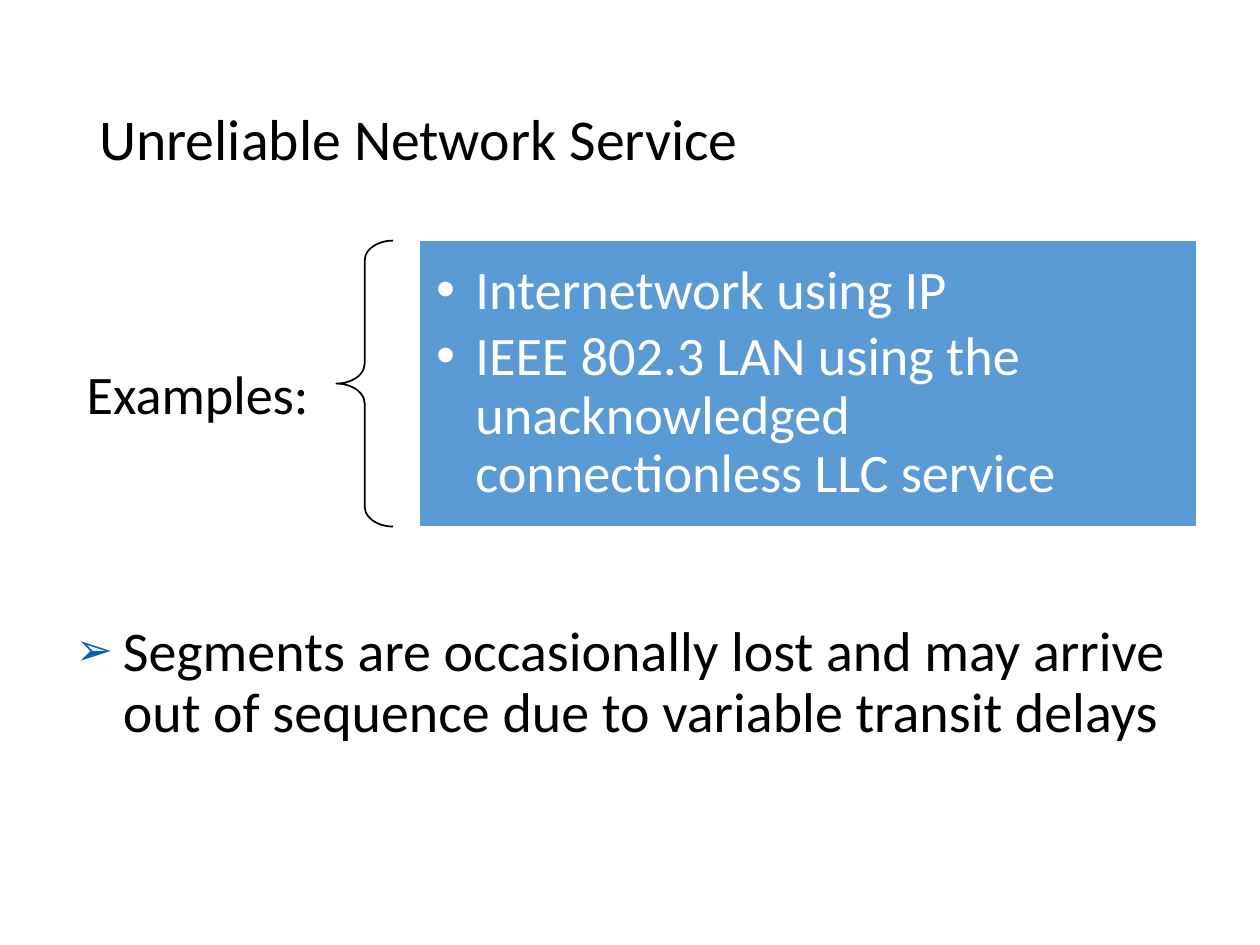
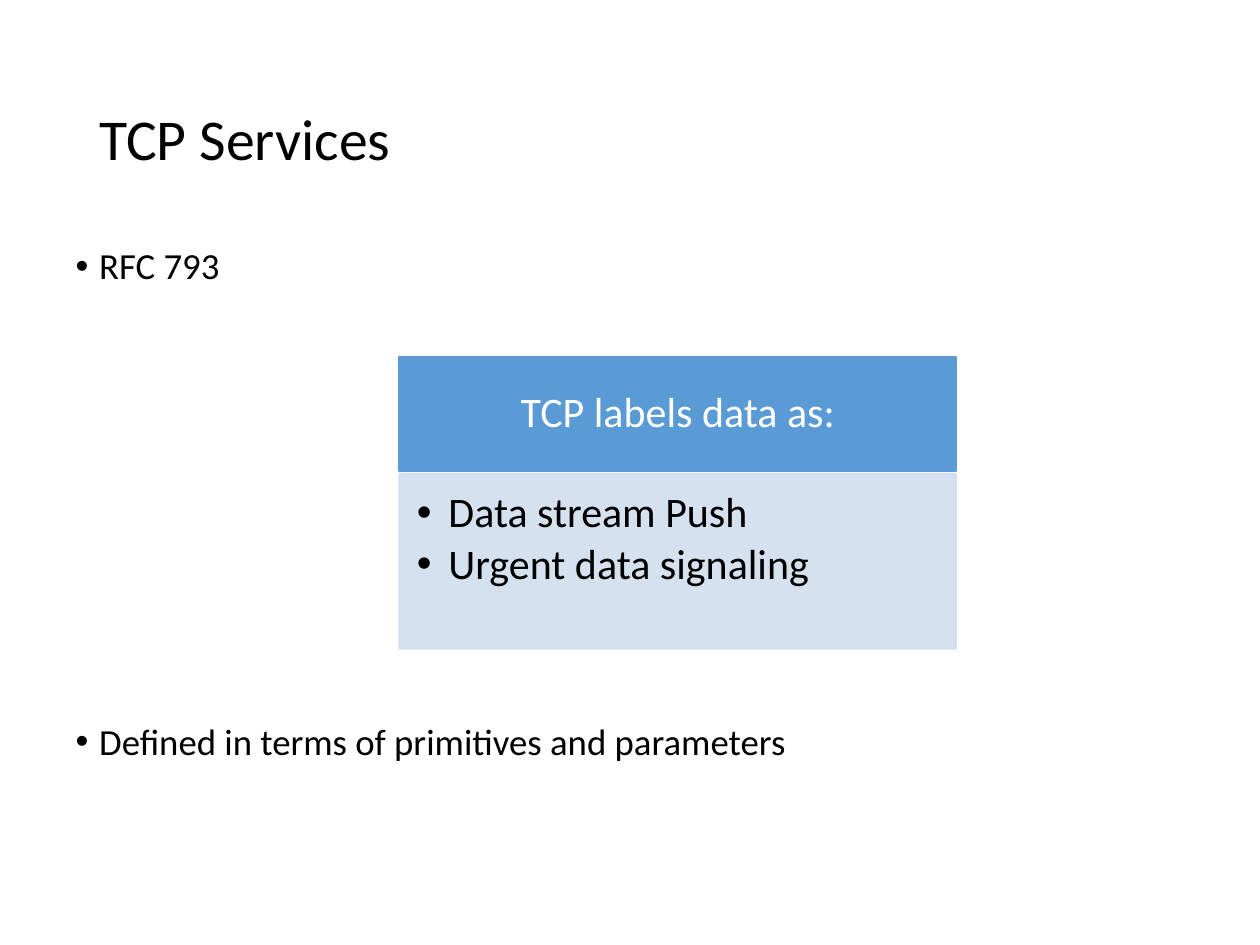
"""Build two slides on unreliable network service and TCP services."""
from lxml import etree
from pptx import Presentation
from pptx.dml.color import RGBColor
from pptx.enum.shapes import MSO_SHAPE as SHAPE
from pptx.enum.text import MSO_ANCHOR as ANCHOR, MSO_AUTO_SIZE as AUTO_SIZE, PP_ALIGN as ALIGN
from pptx.oxml.ns import qn
from pptx.util import Pt

COLORS = {"text": "000000", "white": "FFFFFF", "blue": "5B9BD5", "pale": "D2DEEF", "arrow": "0563C1"}
FONT = "Calibri"


def write(shape, lines, size, color="text", align=ALIGN.LEFT, anchor=ANCHOR.MIDDLE,
          margins=(7.2, 3.6, 7.2, 3.6), gap=0, indent=0, bullet=None, bullet_color=None):
    frame = shape.text_frame
    frame.word_wrap = True
    frame.auto_size = AUTO_SIZE.NONE
    frame.vertical_anchor = anchor
    frame.margin_left, frame.margin_top, frame.margin_right, frame.margin_bottom = map(Pt, margins)
    frame.text = "\n".join(lines)
    for index, paragraph in enumerate(frame.paragraphs):
        paragraph.alignment = align
        paragraph.line_spacing = 0.9
        paragraph.space_before = Pt(gap if index else 0)
        paragraph.space_after = Pt(0)
        paragraph.font.name = FONT
        paragraph.font.size = Pt(size)
        paragraph.font.color.rgb = RGBColor.from_string(COLORS[color])
        if bullet:
            properties = paragraph._p.get_or_add_pPr()
            properties.set("marL", str(Pt(indent)))
            properties.set("indent", str(-Pt(indent)))
            if bullet_color:
                tint = etree.SubElement(properties, qn("a:buClr"))
                etree.SubElement(tint, qn("a:srgbClr"), val=COLORS[bullet_color])
                etree.SubElement(properties, qn("a:buSzPct"), val="80000")
            etree.SubElement(properties, qn("a:buFont"), typeface="Arial")
            etree.SubElement(properties, qn("a:buChar"), char=bullet)


def add_box(slide, kind, place, fill, line, opacity=100):
    shape = slide.shapes.add_shape(kind, *map(Pt, place))
    shape.shadow.inherit = False
    if fill:
        shape.fill.solid()
        shape.fill.fore_color.rgb = RGBColor.from_string(COLORS[fill])
    else:
        shape.fill.background()
    shape.line.color.rgb = RGBColor.from_string(COLORS[line])
    shape.line.width = Pt(1)
    if opacity < 100:
        for color in shape._element.spPr.iter(qn("a:srgbClr")):
            etree.SubElement(color, qn("a:alpha"), val=str(opacity * 1000))
    return shape


presentation = Presentation()
presentation.slide_width, presentation.slide_height = Pt(720), Pt(540)

pages = [
    ("Unreliable Network Service", (36, 352.7, 648, 154),
     ["Segments are occasionally lost and may arrive out of sequence due to variable transit delays"],
     {"size": 32, "indent": 27, "bullet": "➢", "bullet_color": "arrow"}),
    ("TCP Services", (36, 138.2, 648, 366),
     ["RFC 793", "Defined in terms of primitives and parameters"],
     {"size": 21, "indent": 13.5, "bullet": "•", "gap": 249}),
]
slides = []
for title, body_place, lines, style in pages:
    slide = presentation.slides.add_slide(presentation.slide_layouts[1])
    heading, body = slide.placeholders
    for shape, place in ((heading, (49.5, 28.8, 621, 104.4)), (body, body_place)):
        shape.left, shape.top, shape.width, shape.height = map(Pt, place)
    write(heading, [title], 33)
    write(body, lines, anchor=ANCHOR.TOP, **style)
    slides.append(slide)
network_slide, tcp_slide = slides

examples_label = network_slide.shapes.add_textbox(Pt(30.2), Pt(203), Pt(163.4), Pt(48.2))
write(examples_label, ["Examples:"], 31, align=ALIGN.RIGHT, margins=(17.3, 6.5, 17.3, 6.5))
brace = add_box(network_slide, SHAPE.LEFT_BRACE, (192.2, 137.5, 32.4, 163.4), None, "text")
brace.adjustments[0] = 0.35
examples = add_box(network_slide, SHAPE.RECTANGLE, (239.8, 137.5, 444.2, 163.4), "blue", "white")
write(examples, ["Internetwork using IP",
                 "IEEE 802.3 LAN using the unacknowledged connectionless LLC service"],
      31, "white", margins=(9.4,) * 4, gap=4.4, indent=22.5, bullet="•")

labels_header = add_box(tcp_slide, SHAPE.RECTANGLE, (228.2, 203.8, 318.2, 65.5), "blue", "blue")
write(labels_header, ["TCP labels data as:"], 24, "white", ALIGN.CENTER, margins=(13.7, 7.9, 13.7, 7.9))
labels = add_box(tcp_slide, SHAPE.RECTANGLE, (228.2, 270.7, 318.2, 100.1), "pale", "pale", 90)
write(labels, ["Data stream Push", "Urgent data signaling"], 24, anchor=ANCHOR.TOP,
      margins=(10.1, 10.1, 13.7, 15.1), gap=3.4, indent=18, bullet="•")

presentation.save("out.pptx")
